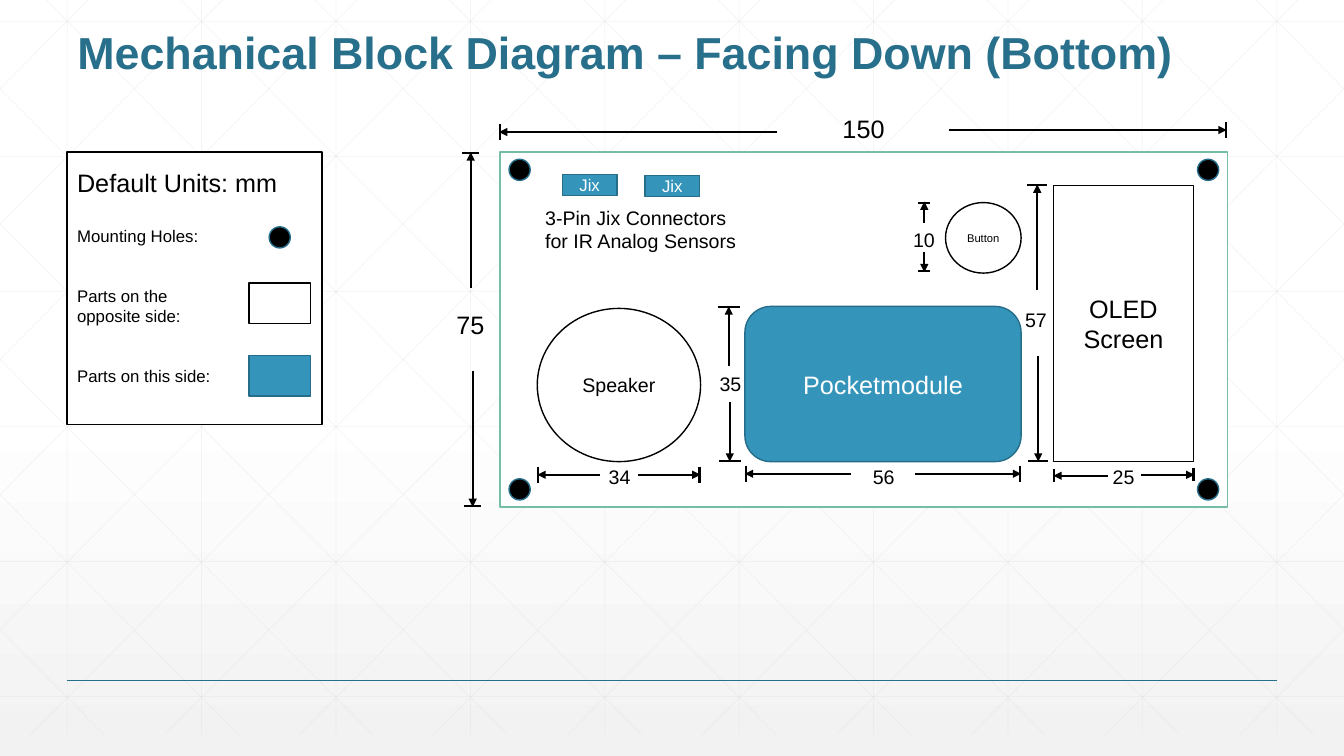
"""Build the bottom-side mechanical block diagram slide with its legend and dimensions."""
from typing import NamedTuple, Optional

from lxml.etree import SubElement
from pptx import Presentation
from pptx.dml.color import RGBColor
from pptx.enum.shapes import MSO_CONNECTOR as Connector, MSO_SHAPE as Preset
from pptx.enum.text import MSO_ANCHOR as Anchor, MSO_AUTO_SIZE as AutoSize, PP_ALIGN as Align
from pptx.oxml.ns import qn
from pptx.util import Inches, Pt

BLACK = RGBColor(0x00, 0x00, 0x00)
WHITE = RGBColor(0xFF, 0xFF, 0xFF)
MIST = RGBColor(0xF2, 0xF2, 0xF2)
LATTICE = RGBColor(0xD9, 0xD9, 0xD9)
BLUE = RGBColor(0x34, 0x94, 0xBA)
EDGE = RGBColor(0x26, 0x6D, 0x8A)
HEADING = RGBColor(0x27, 0x6F, 0x8B)
GREEN = RGBColor(0x75, 0xBD, 0xA7)

FONT = "Arial"
CELL = Inches(0.1)
COLUMNS, ROWS = 133.33, 75
MARGIN = COLUMNS / 20
STEP = COLUMNS / 10
LATTICE_TOP, LATTICE_BOTTOM = -2.1, 72.9
HOLE = 2.1


class Part(NamedTuple):
    column: float
    row: float
    width: float
    height: float
    preset: Preset = Preset.RECTANGLE
    fill: RGBColor = WHITE
    line: RGBColor = BLACK
    text: str = ""
    size: int = 18
    ink: RGBColor = BLACK


class Note(NamedTuple):
    column: float
    row: float
    width: float
    height: float
    paragraphs: tuple
    size: int = 14
    gap: float = 0


class Dimension(NamedTuple):
    """Arrows run from the gap out to start and end; levels are their cross positions."""
    vertical: bool
    start: float
    gap_start: float
    gap_end: float
    end: float
    levels: tuple
    tick: float
    label: Note


def label(text: str, column: float, row: float, width: float, size: int = 14) -> Note:
    return Note(column, row, width, 4 if size == 18 else 3.4, (text,), size)


def hole(column: float, row: float) -> Part:
    return Part(column, row, HOLE, HOLE, Preset.OVAL, BLACK, EDGE)


def socket(column: float, row: float) -> Part:
    return Part(column, row, 5.4, 2.1, Preset.RECTANGLE, BLUE, EDGE, "Jix", 12, WHITE)


PARTS = [
    Part(49.6, 15.1, 72.2, 35.2, line=GREEN),
    Part(MARGIN, 15.1, 25.3, 27),
    Part(104.5, 18.4, 13.9, 27.4, text="OLED Screen"),
    Part(93.8, 20.1, 7.5, 7, Preset.OVAL, text="Button", size=8),
    Part(53.3, 30.6, 16.2, 15.2, Preset.OVAL, text="Speaker", size=14),
    Part(73.9, 30.4, 27.4, 15.4, Preset.ROUNDED_RECTANGLE, BLUE, EDGE, "Pocketmodule", 18, WHITE),
    socket(55.8, 17.3),
    socket(64, 17.4),
    *(hole(column, row) for column in (50.5, 118.8) for row in (15.8, 47.5)),
    hole(26.7, 22.5),
    Part(24.7, 28.1, 6.1, 4),
    Part(24.7, 35.3, 6.1, 4, fill=BLUE, line=EDGE),
]

NOTES = [
    Note(MARGIN, 16.1, 25.3, 4, ("Default Units: mm",), 18),
    Note(MARGIN, 21.9, 15.8, 17.2,
         ("Mounting Holes:", "Parts on the opposite side:", "Parts on this side:"), 12, 28.5),
    Note(53.1, 19.9, 21.4, 5.7, ("3-Pin Jix Connectors for IR Analog Sensors",)),
]

DIMENSIONS = [
    Dimension(False, 49.5, 77.1, 94.1, 121.7, (13.1, 12.9), 1.6, label("150", 82.6, 10.8, 6.6, 18)),
    Dimension(True, 15.1, 28.6, 36.8, 50.3, (46.7, 46.9), 1.7, label("75", 44.3, 30.2, 5.2, 18)),
    Dimension(False, 73.9, 84.4, 90.8, 101.3, (47, 47), 1.6, label("56", 85.6, 45.6, 6.1)),
    Dimension(False, 53.3, 59.5, 63.3, 69.5, (47.1, 47.1), 1.6, label("34", 59.4, 45.6, 4.7)),
    Dimension(True, 30.4, 36.3, 39.9, 45.8, (72.3, 72.4), 2.2, label("35", 70.4, 36.4, 4.2)),
    Dimension(True, 18.3, 28.8, 35.3, 45.8, (102.9, 103), 2, label("57", 100.7, 30.1, 4.2)),
    Dimension(False, 104.5, 109.9, 113.2, 118.5, (47.2, 47.1), 1.3, label("25", 109.4, 45.6, 4.7)),
    Dimension(True, 20, 22.1, 25, 27, (91.7, 91.7), 1.2, label("10", 89.6, 22.1, 4.2)),
]


def cells(*values: float) -> list[int]:
    return [round(value * CELL) for value in values]


def write(para, text: str, size: int, color: RGBColor, bold: bool = False) -> None:
    span = para.add_run()
    span.text = text
    span.font.name, span.font.size, span.font.bold = FONT, Pt(size), bold
    span.font.color.rgb = color


def draw_line(page, start: tuple, end: tuple, color: RGBColor = BLACK, weight: float = 1.5,
              arrow: bool = False, opacity: Optional[int] = None) -> None:
    line = page.shapes.add_connector(Connector.STRAIGHT, *cells(*start, *end))
    line.line.color.rgb = color
    line.line.width = Pt(weight)
    properties = line._element.spPr
    if opacity is not None:
        SubElement(next(properties.iter(qn("a:srgbClr"))), qn("a:alpha"), val=str(opacity * 1000))
    if arrow:
        SubElement(properties.find(qn("a:ln")), qn("a:tailEnd"), type="triangle")
    SubElement(properties, qn("a:effectLst"))


def draw_part(page, part: Part) -> None:
    shape = page.shapes.add_shape(part.preset, *cells(*part[:4]))
    shape.shadow.inherit = False
    shape.fill.solid()
    shape.fill.fore_color.rgb = part.fill
    shape.line.color.rgb = part.line
    shape.line.width = Pt(1)
    if part.text:
        shape.text_frame.vertical_anchor = Anchor.MIDDLE
        para = shape.text_frame.paragraphs[0]
        para.alignment = Align.CENTER
        write(para, part.text, part.size, part.ink)


def draw_note(page, note: Note) -> None:
    frame = page.shapes.add_textbox(*cells(*note[:4])).text_frame
    frame.word_wrap = True
    for index, text in enumerate(note.paragraphs):
        para = frame.add_paragraph() if index else frame.paragraphs[0]
        para.space_before = Pt(note.gap if index else 0)
        write(para, text, note.size, BLACK)


def draw_dimension(page, dimension: Dimension) -> None:
    def place(along: float, across: float) -> tuple:
        return (across, along) if dimension.vertical else (along, across)

    near, far = dimension.levels
    half = dimension.tick / 2
    for inner, outer, level, inset in ((dimension.gap_start, dimension.start, near, 0.1),
                                       (dimension.gap_end, dimension.end, far, -0.1)):
        draw_line(page, place(inner, level), place(outer, level), arrow=True)
        draw_line(page, place(outer + inset, level - half), place(outer + inset, level + half))
    draw_note(page, dimension.label)


def draw_lattice(page) -> None:
    lines = [((MARGIN + STEP * index, LATTICE_TOP), (MARGIN + STEP * index, LATTICE_BOTTOM))
             for index in range(10)]
    lines += [((0, 2.1 + 13.4 * index), (COLUMNS, 2.1 + 13.4 * index)) for index in range(6)]
    slope = (LATTICE_BOTTOM - LATTICE_TOP) / 74.5
    for index in range(-5, 10):
        origin = 2.5 + STEP * index
        left, right = max(origin, 0), min(origin + 74.5, COLUMNS)
        top, bottom = (LATTICE_TOP + (column - origin) * slope for column in (left, right))
        lines += [((left, top), (right, bottom)),
                  ((COLUMNS - left, top), (COLUMNS - right, bottom))]
    for start, end in lines:
        draw_line(page, start, end, LATTICE, 0.5, opacity=25)


def set_background(page) -> None:
    fill = page.background.fill
    fill.gradient()
    fill.gradient_angle = 270
    for stop, position, color in zip(fill.gradient_stops, (0.53, 1), (WHITE, MIST)):
        stop.position, stop.color.rgb = position, color


def set_title(page, text: str) -> None:
    title = page.shapes.title
    title.left, title.top, title.width, title.height = cells(MARGIN, -1.6, COLUMNS * 0.9, 10)
    frame = title.text_frame
    frame.auto_size, frame.word_wrap, frame.vertical_anchor = AutoSize.NONE, True, Anchor.BOTTOM
    para = frame.paragraphs[0]
    para.alignment, para.line_spacing = Align.LEFT, 0.9
    write(para, text, 32, HEADING, bold=True)
    title._element.getparent().append(title._element)


def main() -> None:
    deck = Presentation()
    deck.slide_width, deck.slide_height = cells(COLUMNS, ROWS)
    page = deck.slides.add_slide(deck.slide_layouts[5])
    set_background(page)
    draw_lattice(page)
    draw_line(page, (MARGIN, 67.5), (COLUMNS - MARGIN, 67.5), HEADING, 1)
    set_title(page, "Mechanical Block Diagram – Facing Down (Bottom)")
    for draw, items in ((draw_part, PARTS), (draw_note, NOTES), (draw_dimension, DIMENSIONS)):
        for item in items:
            draw(page, item)
    deck.save("out.pptx")


main()
